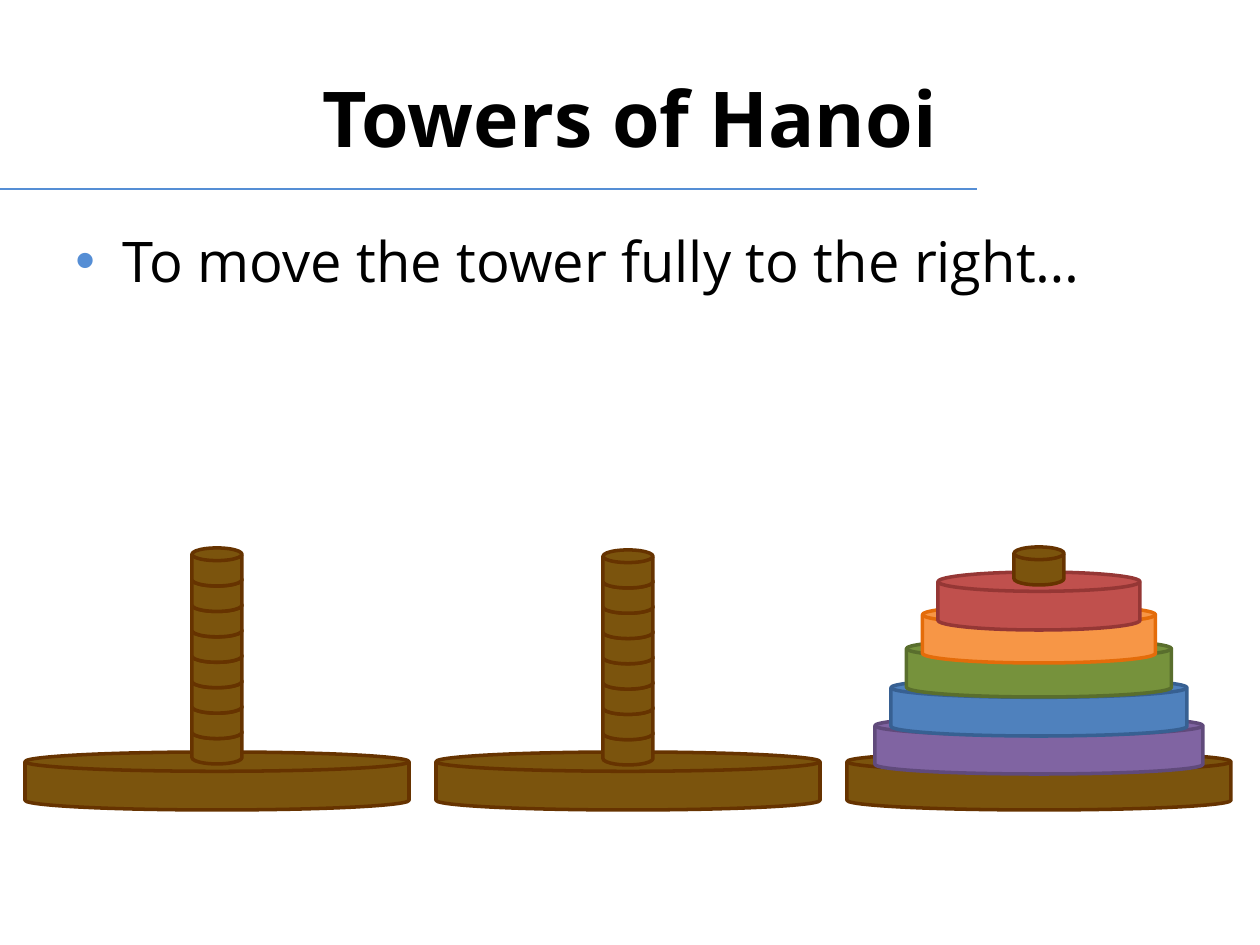
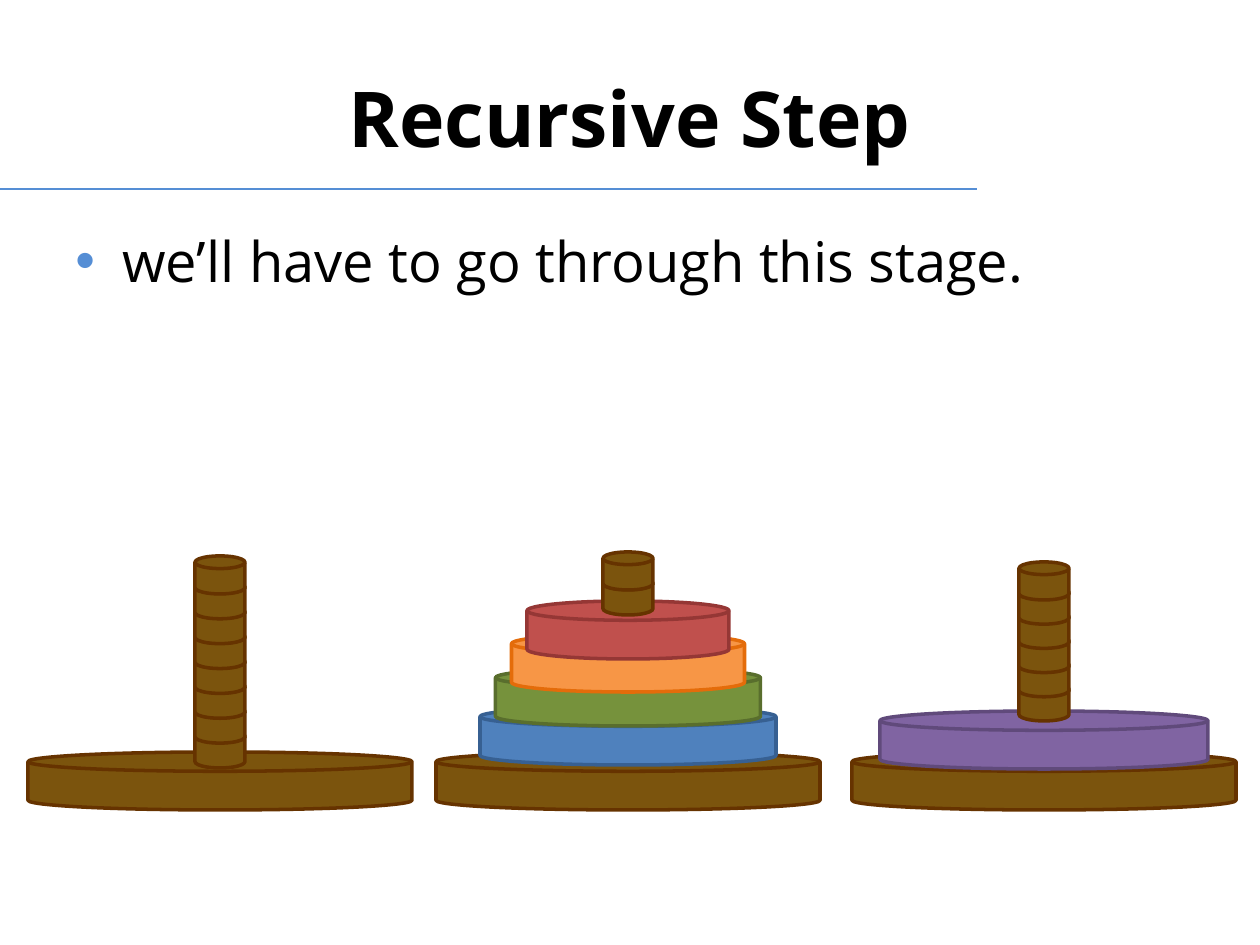
from collections import namedtuple
from dataclasses import dataclass

from lxml.etree import SubElement
from pptx import Presentation
from pptx.dml.color import RGBColor
from pptx.enum.shapes import MSO_CONNECTOR, MSO_SHAPE as Shape
from pptx.enum.text import MSO_ANCHOR as Anchor, PP_ALIGN as Align
from pptx.oxml.ns import qn
from pptx.util import Emu, Pt

EMU_PER_PIXEL = 914400 / 126


def px(length):
    """Turn pixels into EMU."""
    return Emu(round(length * EMU_PER_PIXEL))


Box = namedtuple("Box", "left top width height")
Paint = namedtuple("Paint", "fill line")
# rise: how far the disc's top lies above that of the next larger disc
Disc = namedtuple("Disc", "width rise paint")


@dataclass(frozen=True)
class Theme:
    """Colours, font and sizes shared by the slides."""
    font: str = "Open Sans"
    title_size: int = 44
    body_size: int = 32
    text: str = "000000"
    accent: str = "558ED5"
    wood: Paint = Paint("7B540D", "663300")
    rule_width: float = 0.75
    outline_width: float = 2


THEME = Theme()
SLIDE = Box(0, 0, 1260, 945)
TITLE = Box(63, 38, 1134, 157)
BODY = Box(63, 220, 1134, 624)
RULE_Y, RULE_LENGTH = 189, 977

BASE_WIDTH, DISC_HEIGHT = 384, 58
BASE_TOP = 752
PEG_WIDTH, PEG_PIECE_HEIGHT = 50, 38

# Largest first
DISCS = [
    Disc(328, 0, Paint("8064A2", "604A7B")),
    Disc(296, 38, Paint("4F81BD", "376092")),
    Disc(265, 39, Paint("76923C", "596E2D")),
    Disc(233, 34, Paint("F79646", "E46C0A")),
    Disc(202, 33, Paint("C0504D", "953735")),
]


@dataclass(frozen=True)
class Tower:
    """One tower: its left edge, visible peg pieces and stacked discs."""
    left: int
    peg_top: int
    peg_foot: int
    pieces: int
    discs: tuple = ()
    stack_top: int = 0  # top of the lowest disc


def add_text(slide, box, text, size, bold=False, align=Align.LEFT,
             anchor=Anchor.TOP, bullet=None):
    """Add a text box with one formatted paragraph."""
    frame = slide.shapes.add_textbox(*map(px, box)).text_frame
    frame.word_wrap = True
    frame.vertical_anchor = anchor
    paragraph = frame.paragraphs[0]
    paragraph.alignment = align
    run = paragraph.add_run()
    run.text = text
    run.font.name = THEME.font
    run.font.size = Pt(size)
    run.font.bold = bold
    run.font.color.rgb = RGBColor.from_string(THEME.text)
    if bullet:
        add_bullet(paragraph, bullet)


def add_bullet(paragraph, sign, indent=47):
    """Give a paragraph a coloured bullet and a hanging indent."""
    props = paragraph._p.get_or_add_pPr()
    props.set("marL", str(px(indent)))
    props.set("indent", str(-px(indent)))
    before = SubElement(props, qn("a:spcBef"))
    SubElement(before, qn("a:spcPct"), val="20000")
    colour = SubElement(props, qn("a:buClr"))
    SubElement(colour, qn("a:srgbClr"), val=THEME.accent)
    SubElement(props, qn("a:buFont"), typeface="Arial")
    SubElement(props, qn("a:buChar"), char=sign)


def add_rule(slide):
    """Draw the line below the title."""
    rule = slide.shapes.add_connector(
        MSO_CONNECTOR.STRAIGHT, px(0), px(RULE_Y), px(RULE_LENGTH), px(RULE_Y))
    rule.line.color.rgb = RGBColor.from_string(THEME.accent)
    rule.line.width = Pt(THEME.rule_width)
    SubElement(rule._element.spPr, qn("a:effectLst"))


def add_cylinder(slide, centre, top, width, height, paint):
    """Draw an outlined cylinder around a vertical axis."""
    cylinder = slide.shapes.add_shape(
        Shape.FLOWCHART_MAGNETIC_DISK,
        px(centre - width / 2), px(top), px(width), px(height))
    cylinder.shadow.inherit = False
    cylinder.fill.solid()
    cylinder.fill.fore_color.rgb = RGBColor.from_string(paint.fill)
    cylinder.line.color.rgb = RGBColor.from_string(paint.line)
    cylinder.line.width = Pt(THEME.outline_width)


def add_tower(slide, box, tower):
    """Draw base, discs and peg, from the bottom up, inside the box."""
    centre = box.left + box.width / 2
    base_top = box.top + box.height - DISC_HEIGHT
    add_cylinder(slide, centre, base_top, box.width, DISC_HEIGHT, THEME.wood)

    disc_top = tower.stack_top
    for level, disc in enumerate(tower.discs):
        disc_top -= disc.rise if level else 0
        add_cylinder(slide, centre, disc_top, disc.width, DISC_HEIGHT, disc.paint)

    pitch = (tower.peg_foot - box.top) / max(tower.pieces - 1, 1)
    for piece in reversed(range(tower.pieces)):
        add_cylinder(slide, centre, box.top + piece * pitch,
                     PEG_WIDTH, PEG_PIECE_HEIGHT, THEME.wood)


def add_hanoi_slide(deck, title, statement, towers):
    """Add a slide with title, rule, one bullet and a row of towers."""
    slide = deck.slides.add_slide(deck.slide_layouts[6])
    add_rule(slide)
    add_text(slide, TITLE, title, THEME.title_size, bold=True,
             align=Align.CENTER, anchor=Anchor.MIDDLE)
    add_text(slide, BODY, statement, THEME.body_size, bullet="•")
    for tower in towers:
        height = BASE_TOP + DISC_HEIGHT - tower.peg_top
        add_tower(slide, Box(tower.left, tower.peg_top, BASE_WIDTH, height), tower)


deck = Presentation()
deck.slide_width, deck.slide_height = px(SLIDE.width), px(SLIDE.height)

add_hanoi_slide(deck, "Towers of Hanoi", "To move the tower fully to the right…", [
    Tower(25, peg_top=548, peg_foot=726, pieces=8),
    Tower(436, peg_top=550, peg_foot=727, pieces=8),
    Tower(847, peg_top=547, peg_foot=547, pieces=1,
          discs=tuple(DISCS), stack_top=716),
])
add_hanoi_slide(deck, "Recursive Step", "we’ll have to go through this stage.", [
    Tower(28, peg_top=556, peg_foot=730, pieces=8),
    Tower(436, peg_top=552, peg_foot=577, pieces=2,
          discs=tuple(DISCS[1:]), stack_top=707),
    Tower(852, peg_top=562, peg_foot=683, pieces=6,
          discs=tuple(DISCS[:1]), stack_top=711),
])
deck.save("out.pptx")
